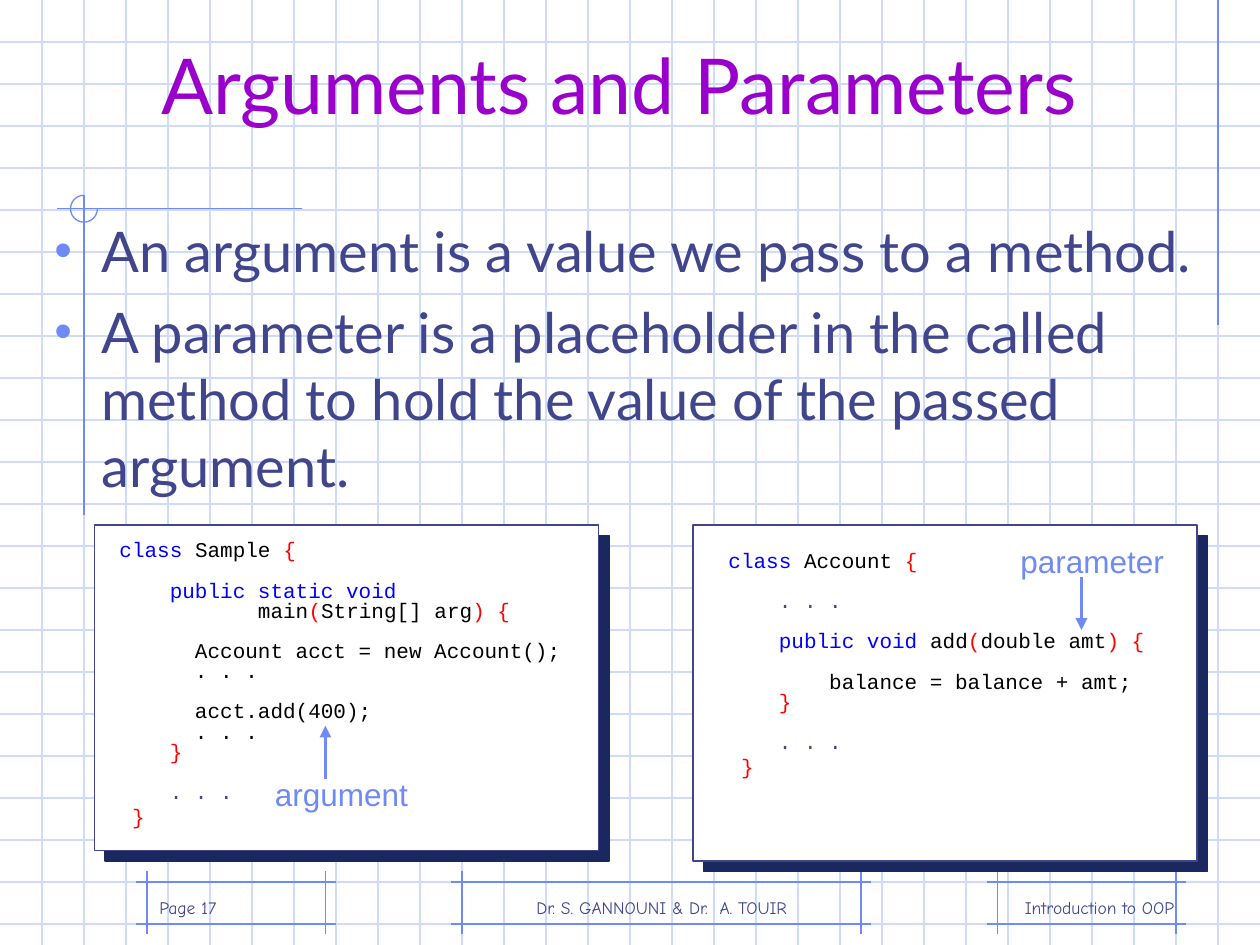
import lxml.etree
import pptx
import pptx.dml.color
import pptx.enum.shapes
import pptx.enum.text
import pptx.oxml.ns
import pptx.util

Cm, Pt, qn = pptx.util.Cm, pptx.util.Pt, pptx.oxml.ns.qn
SHAPE = pptx.enum.shapes.MSO_SHAPE
ALIGN = pptx.enum.text.PP_ALIGN
ANCHOR = pptx.enum.text.MSO_ANCHOR
AUTO_SIZE = pptx.enum.text.MSO_AUTO_SIZE

CELL = 25.4 / 30  # side of one square of the background grid, in cm
COLUMNS, ROWS = 30, 22.5
GRID, ACCENT, INK, SHADOW = "CFDBFD", "6F89F7", "40458C", "1B285F"
BLUE, BLACK, RED = "0000FF", "000000", "FF0000"
CODE_GAP = 11.5  # height of an empty code line, in points


def cells(n):
    return Cm(n * CELL)


def color(value):
    return pptx.dml.color.RGBColor.from_string(value)


def add(parent, tag, **attrs):
    return lxml.etree.SubElement(parent, qn(tag), attrs)


def add_line(s, x1, y1, x2, y2, stroke=ACCENT, width=0.75, arrow=False):
    line = s.shapes.add_connector(pptx.enum.shapes.MSO_CONNECTOR.STRAIGHT,
                                  *map(cells, (x1, y1, x2, y2)))
    line.line.color.rgb = color(stroke)
    line.line.width = Pt(width)
    if arrow:
        add(line.line._get_or_add_ln(), "a:tailEnd", type="triangle")
    add(line._element.spPr, "a:effectLst")


def add_text_box(s, box, anchor=ANCHOR.TOP, wrap=True):
    tf = s.shapes.add_textbox(*map(cells, box)).text_frame
    tf.word_wrap = wrap
    tf.auto_size = AUTO_SIZE.NONE if wrap else AUTO_SIZE.SHAPE_TO_FIT_TEXT
    tf.vertical_anchor = anchor
    return tf


def add_run(p, text, font, size, fill):
    r = p.add_run()
    r.text = text
    for name, value in {"name": font, "size": Pt(size)}.items():
        setattr(r.font, name, value)
    r.font.color.rgb = color(fill)


def add_label(s, box, text, font, size, fill, align=ALIGN.LEFT, **frame):
    p = add_text_box(s, box, **frame).paragraphs[0]
    p.alignment = align
    add_run(p, text, font, size, fill)


def add_background(s):
    # Squared paper
    for row in range(1, 23):
        add_line(s, 0, row, COLUMNS, row, GRID)
    for column in range(1, COLUMNS):
        add_line(s, column, 0, column, ROWS, GRID)
    # Drafting marks
    add_line(s, 29, 0, 29, 7.75)
    add_line(s, 7.2, 4.97, 1.35, 4.97)
    add_line(s, 2, 4.65, 2, 12.27)
    arc = s.shapes.add_shape(SHAPE.ARC, *map(cells, (1.68, 4.65, 0.64, 0.64)))
    arc.adjustments[0], arc.adjustments[1] = 0, 162
    arc.shadow.inherit = False
    arc.fill.background()
    arc.line.color.rgb = color(ACCENT)
    arc.line.width = Pt(0.75)


def add_footer_part(s, left, right, text_box, text, align):
    top, bottom, overhang = 21, 22, 0.25
    for y in (top, bottom):
        add_line(s, left - overhang, y, right + overhang, y)
    for x in (left, right):
        add_line(s, x, top - overhang, x, bottom + overhang)
    add_label(s, text_box, text, "Comic Neue", 10, INK, align, anchor=ANCHOR.BOTTOM)


def add_bullets(s, box, items):
    tf = add_text_box(s, box)
    for i, item in enumerate(items):
        p = tf.add_paragraph() if i else tf.paragraphs[0]
        if i:
            p.space_before = Pt(8)
        pPr = p._p.get_or_add_pPr()
        indent = Cm(0.95)
        pPr.set("marL", str(indent))
        pPr.set("indent", str(-indent))
        add(add(pPr, "a:buClr"), "a:srgbClr", val=ACCENT)
        add(pPr, "a:buSzPct", val="90000")
        add(pPr, "a:buFont", typeface="Arial")
        add(pPr, "a:buChar", char="•")
        add_run(p, item, "Lato", 32, INK)


def add_code(s, box, lines):
    """Each line is a list of (text, colour) parts; None is an empty line."""
    tf = add_text_box(s, box, wrap=False)
    p, gap = tf.paragraphs[0], 0
    for i, line in enumerate(lines):
        if line is None:
            gap += CODE_GAP
            continue
        if i:
            p = tf.add_paragraph()
        if gap:
            p.space_before = Pt(gap)
        p.line_spacing = 1.0 if i == len(lines) - 1 else 0.8
        for text, fill in line:
            add_run(p, text, "Courier New", 12, fill)
        gap = 0


def add_code_card(s, box, code_box, lines, label, label_box, arrow):
    """Inner boxes and the arrow are measured from the card's corner."""
    left, top = box[:2]

    def inside(b):
        return (left + b[0], top + b[1], *b[2:])

    # Card with a hard shadow
    sp = s.shapes.add_shape(SHAPE.RECTANGLE, *map(cells, box))
    sp.fill.solid()
    sp.fill.fore_color.rgb = color("FFFFFF")
    sp.line.color.rgb = color(INK)
    sp.line.width = Pt(0.75)
    sp.shadow.inherit = False
    shadow = add(sp._element.spPr.find(qn("a:effectLst")), "a:outerShdw", blurRad="0",
                 dist=str(Pt(8.5)), dir="2700000", algn="ctr", rotWithShape="0")
    add(shadow, "a:srgbClr", val=SHADOW)
    # Code, arrow and its label
    add_code(s, inside(code_box), lines)
    x, y1, y2 = arrow
    add_line(s, left + x, top + y1, left + x, top + y2, width=2.25, arrow=True)
    add_label(s, inside(label_box), label, "Arial", 18, ACCENT, wrap=False)


SAMPLE_CODE = [
    [("class", BLUE), (" Sample ", BLACK), ("{", RED)],
    None,
    [("    public static void", BLUE)],
    [("           main", BLACK), ("(", RED), ("String[] arg", BLACK), (") {", RED)],
    None,
    [("      Account acct = new Account();", BLACK)],
    [("      . . .", BLACK)],
    None,
    [("      acct.add(400);", BLACK)],
    [("      . . .", BLACK)],
    [("    }", RED)],
    None,
    [("    . . .", INK)],
    [(" }", RED)],
]
ACCOUNT_CODE = [
    [("class", BLUE), (" Account ", BLACK), ("{", RED)],
    None,
    [("    . . .", INK)],
    None,
    [("    public void", BLUE), (" add", BLACK), ("(", RED), ("double amt", BLACK),
     (") {", RED)],
    None,
    [("        balance = balance + amt;", BLACK)],
    [("    }", RED)],
    None,
    [("    . . .", INK)],
    [(" }", RED)],
]


def main():
    prs = pptx.Presentation()
    prs.slide_width, prs.slide_height = cells(COLUMNS), cells(ROWS)
    s = prs.slides.add_slide(prs.slide_layouts[6])

    add_background(s)
    add_footer_part(s, 11, 20.5, (11, 20.5, 9.5, 1.5),
                    "Dr. S. GANNOUNI & Dr.  A. TOUIR", ALIGN.CENTER)
    add_footer_part(s, 23.75, 28, (22, 20.5, 6.25, 1.5), "Introduction to OOP", ALIGN.RIGHT)
    add_footer_part(s, 3.5, 7.75, (3.5, 20.5, 6.25, 1.5), "Page 17", ALIGN.LEFT)

    add_label(s, (2, 0.5, 25.5, 2.75), "Arguments and Parameters", "Lato", 44, "9900CC",
              ALIGN.CENTER, anchor=ANCHOR.BOTTOM)
    add_bullets(s, (1, 5, 29, 13.5), [
        "An argument is a value we pass to a method.",
        "A parameter is a placeholder in the called method to hold the value of the "
        "passed argument.",
    ])

    add_code_card(s, (2.25, 12.5, 12, 7.75), (0.3, 0.25, 11.1, 7.15), SAMPLE_CODE,
                  "argument", (4, 5.8, 3.8, 1.2), (5.5, 6.05, 4.78))
    add_code_card(s, (16.5, 12.5, 12, 8), (0.55, 0.5, 10.5, 5.7), ACCOUNT_CODE,
                  "parameter", (7.5, 0.25, 4.05, 1.2), (9.25, 1.25, 2.5))
    prs.save("out.pptx")


if __name__ == "__main__":
    main()
